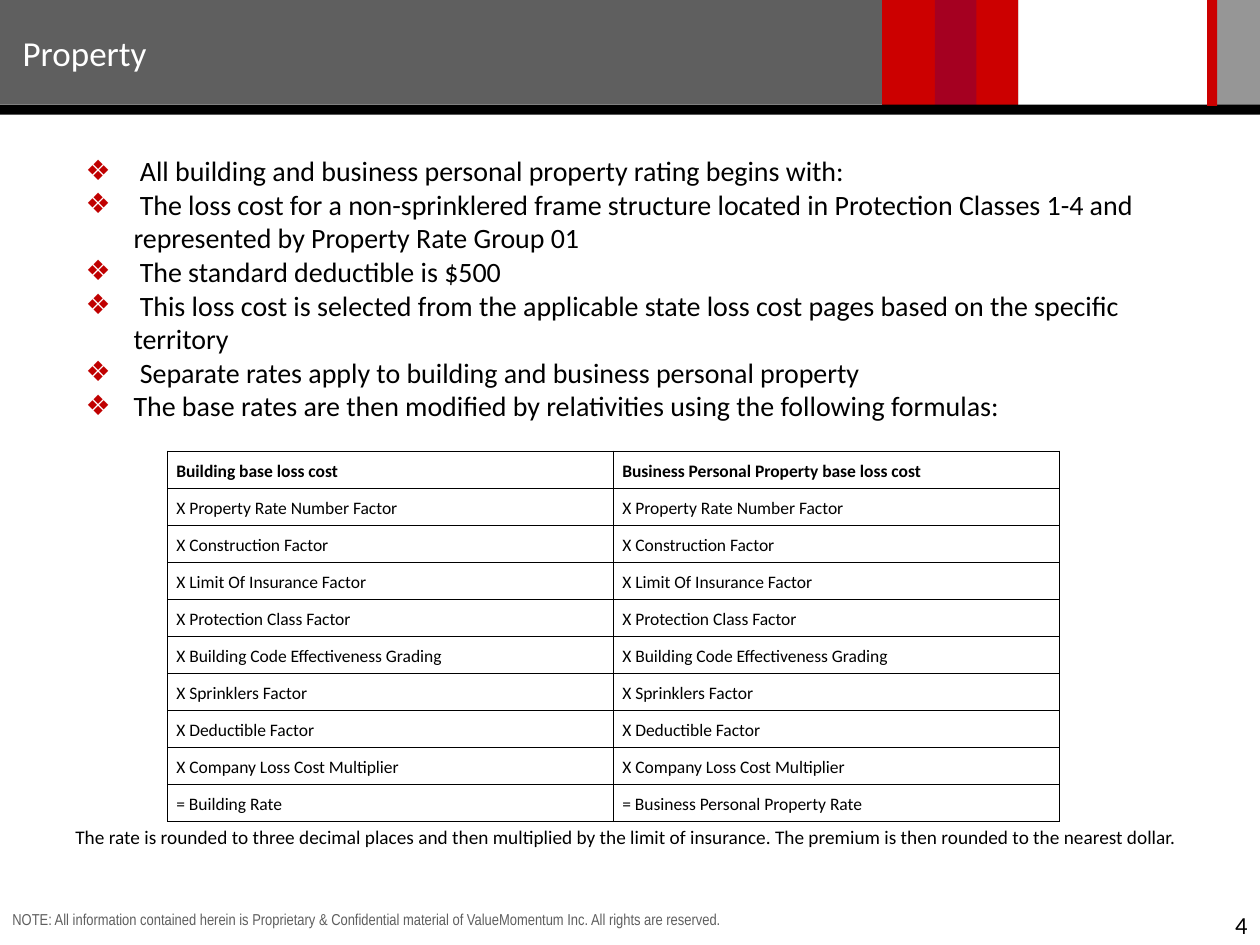
from lxml.etree import SubElement
from pptx import Presentation
from pptx.dml.color import RGBColor
from pptx.enum.shapes import MSO_SHAPE
from pptx.enum.text import MSO_ANCHOR, MSO_AUTO_SIZE, PP_ALIGN
from pptx.oxml.ns import qn
from pptx.util import Inches, Pt

COLORS = {
    "gray": "5F5F5F",
    "red": "CC0000",
    "silver": "969696",
    "wine": "A50021",
    "black": "000000",
    "white": "FFFFFF",
    "bullet": "C00000",
}

BANDS = [
    (0, 0, 8.08, 0.83, "gray"),
    (7, 0, 1.08, 0.84, "red"),
    (9.58, 0, 0.42, 0.84, "silver"),
    (7.42, 0, 0.33, 0.84, "wine"),
    (0, 0.83, 10, 0.08, "black"),
    (9.58, 0, 0.08, 0.84, "red"),
]

POINTS = [
    " All building and business personal property rating begins with:",
    " The loss cost for a non-sprinklered frame structure located in "
    "Protection Classes 1-4 and represented by Property Rate Group 01",
    " The standard deductible is $500",
    " This loss cost is selected from the applicable state loss cost pages "
    "based on the specific territory",
    " Separate rates apply to building and business personal property",
    "The base rates are then modified by relativities using the following formulas:",
]

FACTORS = [
    "Property Rate Number Factor",
    "Construction Factor",
    "Limit Of Insurance Factor",
    "Protection Class Factor",
    "Building Code Effectiveness Grading",
    "Sprinklers Factor",
    "Deductible Factor",
    "Company Loss Cost Multiplier",
]

ROWS = [
    ("Building base loss cost", "Business Personal Property base loss cost"),
    *[(f"X {name}",) * 2 for name in FACTORS],
    ("= Building Rate", "= Business Personal Property Rate"),
]


def paint(color):
    return RGBColor.from_string(COLORS[color])


def write(para, text, size=16, color="black", face="Calibri", bold=False,
          align=PP_ALIGN.LEFT, lead=1.0):
    para.alignment = align
    para.line_spacing = lead
    para.space_before = Pt(0)
    run = para.add_run()
    run.text = text
    font = run.font
    font.size = Pt(size)
    font.name = face
    font.bold = bold
    font.color.rgb = paint(color)


def place(shape, left, top, width, height):
    shape.left, shape.top = Inches(left), Inches(top)
    shape.width, shape.height = Inches(width), Inches(height)


def add_band(slide, left, top, width, height, color):
    band = slide.shapes.add_shape(
        MSO_SHAPE.RECTANGLE, Inches(left), Inches(top), Inches(width), Inches(height))
    band.shadow.inherit = False
    band.fill.solid()
    band.fill.fore_color.rgb = paint(color)
    band.line.fill.background()


def add_label(slide, left, top, width, height, text, **style):
    box = slide.shapes.add_textbox(
        Inches(left), Inches(top), Inches(width), Inches(height))
    box.text_frame.word_wrap = True
    write(box.text_frame.paragraphs[0], text, **style)


def set_title(slide, text):
    title = slide.shapes.title
    slide.shapes._spTree.append(title._element)
    place(title, 0.08, 0.2, 6.42, 0.44)
    frame = title.text_frame
    frame.auto_size = MSO_AUTO_SIZE.NONE
    frame.vertical_anchor = MSO_ANCHOR.MIDDLE
    write(frame.paragraphs[0], text, size=20, color="white")


def add_bullet(para):
    props = para._p.get_or_add_pPr()
    props.set("marL", str(Inches(0.38)))
    props.set("indent", str(Inches(-0.38)))
    tint = SubElement(props, qn("a:buClr"))
    SubElement(tint, qn("a:srgbClr"), val=COLORS["bullet"])
    SubElement(props, qn("a:buChar"), char="❖")


def set_list(slide, points):
    body = slide.placeholders[1]
    place(body, 0.58, 1.17, 8.83, 3.3)
    frame = body.text_frame
    frame.auto_size = MSO_AUTO_SIZE.NONE
    frame.vertical_anchor = MSO_ANCHOR.TOP
    for index, point in enumerate(points):
        para = frame.add_paragraph() if index else frame.paragraphs[0]
        add_bullet(para)
        write(para, point)


def add_border(cell):
    props = cell._tc.get_or_add_tcPr()
    for index, side in enumerate(("lnL", "lnR", "lnT", "lnB")):
        line = props.makeelement(qn(f"a:{side}"), {"w": str(Pt(0.45))})
        props.insert(index, line)
        fill = SubElement(line, qn("a:solidFill"))
        SubElement(fill, qn("a:srgbClr"), val=COLORS["black"])


def add_grid(slide, rows):
    high = 0.27
    table = slide.shapes.add_table(
        len(rows), 2, Inches(1.33), Inches(3.58),
        Inches(7.08), Inches(high * len(rows))).table
    table.first_row = table.horz_banding = False
    for index, texts in enumerate(rows):
        table.rows[index].height = Inches(high)
        for cell, text in zip(table.rows[index].cells, texts):
            cell.margin_left = cell.margin_right = Inches(0.07)
            cell.margin_top = cell.margin_bottom = Inches(0.05)
            cell.fill.background()
            add_border(cell)
            write(cell.text_frame.paragraphs[0], text, size=10,
                  bold=index == 0, lead=1.15)


def main():
    deck = Presentation()
    deck.slide_width, deck.slide_height = Inches(10), Inches(7.5)
    slide = deck.slides.add_slide(deck.slide_layouts[1])
    for band in BANDS:
        add_band(slide, *band)
    add_label(slide, 0, 7.17, 9.92, 0.25,
              "NOTE: All information contained herein is Proprietary & Confidential "
              "material of ValueMomentum Inc. All rights are reserved.",
              size=9, color="gray", face="Arial Narrow")
    add_label(slide, 7.58, 7.17, 2.42, 0.25, "4", size=14, align=PP_ALIGN.RIGHT)
    set_list(slide, POINTS)
    set_title(slide, "Property")
    add_grid(slide, ROWS)
    add_label(slide, 0.5, 6.5, 9.17, 0.29,
              "The rate is rounded to three decimal places and then multiplied by "
              "the limit of insurance. The premium is then rounded to the nearest dollar.",
              size=11)
    deck.save("out.pptx")


if __name__ == "__main__":
    main()
